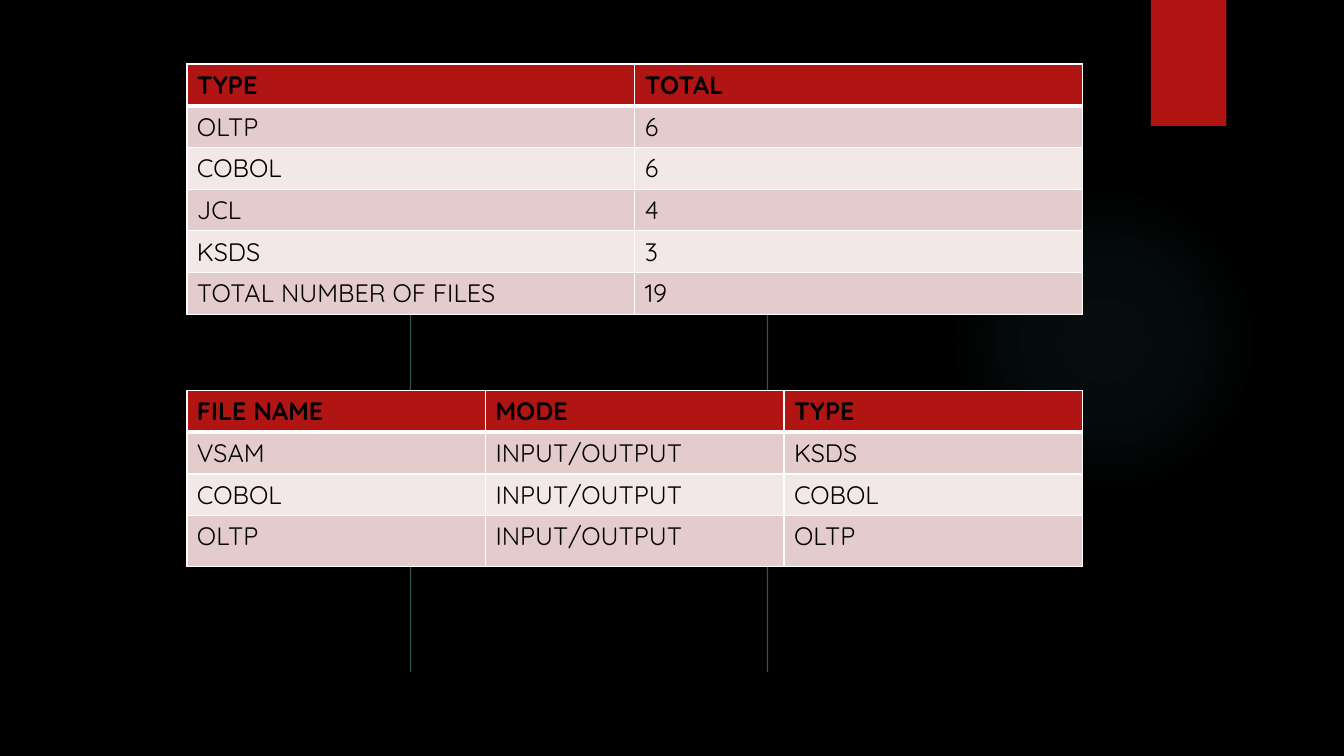
from lxml import etree
from pptx import Presentation, util as u
from pptx.dml.color import RGBColor
from pptx.enum import shapes
from pptx.oxml import parse_xml
from pptx.oxml.ns import nsdecls, qn

PX = 9525  # 96 px to the inch
FONT = "Quicksand"
RED, BLACK, WHITE = "B01513", "000000", "FFFFFF"
BANDS = ["E4CCCC", "F2E8E7"]
GLOW, RULE = "50B9C1", "8AD0D6"

TABLE_LEFT, TABLE_WIDTH, ROW_HEIGHT = 178, 853, 39
TOTALS = [
    ["TYPE", "TOTAL"],
    ["OLTP", "6"],
    ["COBOL", "6"],
    ["JCL", "4"],
    ["KSDS", "3"],
    ["TOTAL NUMBER OF FILES", "19"],
]
FILES = [
    ["FILE NAME", "MODE", "TYPE"],
    ["VSAM", "INPUT/OUTPUT", "KSDS"],
    ["COBOL", "INPUT/OUTPUT", "COBOL"],
    ["OLTP", "INPUT/OUTPUT", "OLTP"],
]


def px(n):
    return u.Emu(n * PX)


def rgb(value):
    return RGBColor.from_string(value)


def add_plain_shape(slide, kind, left, top, width, height, color):
    sp = slide.shapes.add_shape(kind, px(left), px(top), px(width), px(height))
    sp.shadow.inherit = False
    sp.fill.solid()
    sp.fill.fore_color.rgb = rgb(color)
    sp.line.fill.background()
    return sp


def add_glow(slide, left, top, size):
    """Circle that fades out from its centre."""
    sp = add_plain_shape(slide, shapes.MSO_SHAPE.OVAL, left, top, size, size, GLOW)
    stops = "".join(
        f'<a:gs pos="{pos * 1000}"><a:srgbClr val="{GLOW}">'
        f'<a:alpha val="{alpha * 1000}"/></a:srgbClr></a:gs>'
        for pos, alpha in [(0, 7), (36, 6), (69, 0), (100, 0)]
    )
    gradient = parse_xml(
        f'<a:gradFill {nsdecls("a")} rotWithShape="1"><a:gsLst>{stops}</a:gsLst>'
        '<a:path path="circle"><a:fillToRect l="50000" t="50000" r="50000" b="50000"/>'
        "</a:path></a:gradFill>"
    )
    solid = sp._element.spPr.find(qn("a:solidFill"))
    solid.getparent().replace(solid, gradient)


def add_vertical_rule(slide, x, top, bottom):
    line = slide.shapes.add_connector(
        shapes.MSO_CONNECTOR.STRAIGHT, px(x), px(top), px(x), px(bottom))
    line.line.color.rgb = rgb(RULE)
    line.line.width = u.Pt(1)
    spPr = line._element.spPr
    color = spPr.find(".//" + qn("a:srgbClr"))
    etree.SubElement(color, qn("a:alpha")).set("val", "40000")
    etree.SubElement(spPr, qn("a:effectLst"))


def set_borders(cell, top, bottom):
    """White borders; top and bottom widths in points."""
    tcPr = cell._tc.get_or_add_tcPr()
    for side, width in [("L", 1), ("R", 1), ("T", top), ("B", bottom)]:
        tcPr.append(parse_xml(
            f'<a:ln{side} {nsdecls("a")} w="{u.Pt(width)}"><a:solidFill>'
            f'<a:srgbClr val="{WHITE}"/></a:solidFill></a:ln{side}>'))


def format_cell(cell, value, row):
    header = row == 0
    set_borders(cell, 3 if row == 1 else 1, 3 if header else 1)
    cell.fill.solid()
    cell.fill.fore_color.rgb = rgb(RED if header else BANDS[(row - 1) % 2])
    cell.text_frame.text = value
    font = cell.text_frame.paragraphs[0].runs[0].font
    font.name = FONT
    font.size = u.Pt(18)
    font.bold = header
    font.color.rgb = rgb(BLACK)


def add_data_table(slide, top, data, last_height=ROW_HEIGHT):
    heights = [ROW_HEIGHT] * (len(data) - 1) + [last_height]
    n_cols = len(data[0])
    table = slide.shapes.add_table(
        len(data), n_cols, px(TABLE_LEFT), px(top),
        px(TABLE_WIDTH), px(sum(heights))).table
    for col in table.columns:
        col.width = px(TABLE_WIDTH) // n_cols
    for i, values in enumerate(data):
        table.rows[i].height = px(heights[i])
        for j, value in enumerate(values):
            format_cell(table.cell(i, j), value, i)


def main():
    prs = Presentation()
    prs.slide_width, prs.slide_height = px(1280), px(720)
    slide = prs.slides.add_slide(prs.slide_layouts[6])
    slide.background.fill.solid()
    slide.background.fill.fore_color.rgb = rgb(BLACK)

    add_glow(slide, 903, 176, 296)
    add_plain_shape(slide, shapes.MSO_SHAPE.RECTANGLE, 1096, 0, 72, 120, RED)
    for x in (391, 731):
        add_vertical_rule(slide, x, 224, 640)
    add_data_table(slide, 61, TOTALS)
    add_data_table(slide, 372, FILES, last_height=48)

    prs.save("out.pptx")


if __name__ == "__main__":
    main()
